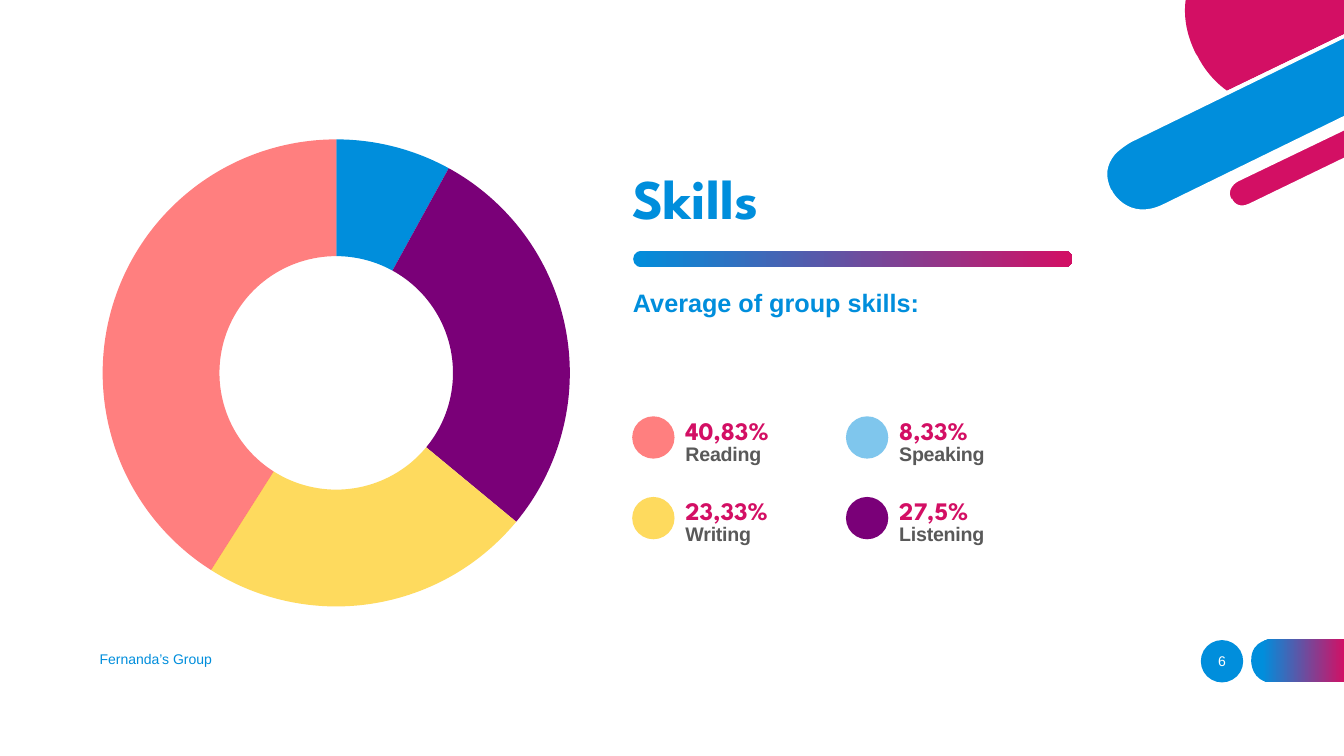
"""Build the group skills slide with a doughnut chart and its legend."""
from dataclasses import dataclass
from typing import Any

from lxml.etree import SubElement
from pptx import Presentation
from pptx.chart.data import CategoryChartData
from pptx.dml.color import RGBColor
from pptx.dml.fill import FillFormat
from pptx.enum.chart import XL_CHART_TYPE as ChartType
from pptx.enum.shapes import MSO_SHAPE as Shape
from pptx.enum.text import MSO_ANCHOR as Anchor, PP_ALIGN as Align
from pptx.oxml import parse_xml
from pptx.oxml.ns import nsdecls, qn
from pptx.util import Inches, Pt

BLUE = RGBColor(0x00, 0x8E, 0xDC)
PINK = RGBColor(0xD3, 0x0F, 0x64)
PURPLE = RGBColor(0x7A, 0x00, 0x78)
YELLOW = RGBColor(0xFE, 0xDA, 0x5E)
RED = RGBColor(0xFF, 0x00, 0x00)
GREY = RGBColor(0x59, 0x59, 0x59)
BLACK = RGBColor(0x00, 0x00, 0x00)
WHITE = RGBColor(0xFF, 0xFF, 0xFF)

HEADING = {"name": "League Spartan", "bold": True}
LABEL = {"name": "Arial", "bold": True}
SMALL = {"name": "Arial", "size": Pt(10)}
DOT = 0.42


@dataclass
class Outline:
    """Closed outline: two numbers make a line, six make a Bézier curve."""
    color: RGBColor
    start: tuple[float, float]
    segments: list[tuple[float, ...]]


@dataclass
class Skill:
    """Legend entry in a cell of the two-by-two grid."""
    name: str
    share: str
    color: RGBColor
    col: int
    row: int
    alpha: int = 100


@dataclass
class Slice:
    """Doughnut slice."""
    value: int
    color: RGBColor
    alpha: int = 100


BADGE = Outline(BLUE, (12.62, 6.77), [
    (13.34, 6.77), (13.34, 6.34), (12.62, 6.34),
    (12.62, 6.34, 12.41, 6.34, 12.41, 6.55), (12.41, 6.56),
    (12.41, 6.56, 12.41, 6.77, 12.62, 6.77)])

CORNER = [
    Outline(WHITE, (13.33, 0.81), [
        (13.06, 0.94), (12.74, 1.1, 12.44, 1.08, 12.19, 0.89),
        (11.99, 0.74, 11.89, 0.55, 11.89, 0.55), (11.88, 0.52),
        (11.79, 0.34, 11.75, 0.16, 11.78, 0), (11.74, 0),
        (11.71, 0.17, 11.75, 0.35, 11.84, 0.54), (11.86, 0.57),
        (11.86, 0.58, 11.96, 0.77, 12.16, 0.92),
        (12.28, 1.01, 12.44, 1.09, 12.65, 1.09),
        (12.77, 1.09, 12.91, 1.06, 13.08, 0.98), (13.33, 0.86)]),
    Outline(BLUE, (11.21, 1.39), [
        (11.21, 1.39, 10.85, 1.57, 11.01, 1.89), (11.01, 1.9),
        (11.01, 1.9, 11.17, 2.22, 11.54, 2.04), (13.33, 1.17), (13.33, 0.36)]),
    Outline(PINK, (11.88, 0.56), [
        (11.88, 0.56, 11.97, 0.76, 12.17, 0.9), (13.33, 0.34), (13.34, 0),
        (11.76, 0), (11.74, 0.15, 11.76, 0.33, 11.86, 0.53)]),
    Outline(PINK, (13.34, 1.26), [
        (12.27, 1.78), (12.27, 1.78, 12.13, 1.85, 12.2, 1.97), (12.2, 1.98),
        (12.2, 1.98, 12.26, 2.11, 12.4, 2.04), (13.34, 1.58)]),
    Outline(WHITE, (12.39, 2.02), [
        (12.27, 2.08, 12.22, 1.98, 12.22, 1.97), (12.21, 1.97),
        (12.16, 1.86, 12.28, 1.8, 12.28, 1.8), (13.34, 1.29), (13.34, 1.24),
        (12.26, 1.76), (12.26, 1.76, 12.19, 1.8, 12.17, 1.87),
        (12.15, 1.91, 12.16, 1.95, 12.18, 1.99),
        (12.2, 2.03, 12.25, 2.08, 12.32, 2.08),
        (12.35, 2.08, 12.38, 2.08, 12.41, 2.06), (13.34, 1.61), (13.34, 1.56)]),
    Outline(WHITE, (11.53, 2.03), [
        (11.19, 2.19, 11.03, 1.9, 11.03, 1.89), (11.02, 1.88),
        (10.96, 1.75, 10.97, 1.64, 11.06, 1.53),
        (11.13, 1.46, 11.22, 1.41, 11.22, 1.41), (13.33, 0.38), (13.33, 0.34),
        (11.2, 1.37), (11.19, 1.38, 11.02, 1.46, 10.96, 1.63),
        (10.93, 1.71, 10.94, 1.8, 10.99, 1.9), (10.99, 1.91),
        (10.99, 1.91, 11.1, 2.12, 11.33, 2.12),
        (11.39, 2.12, 11.46, 2.1, 11.54, 2.06), (13.33, 1.19), (13.33, 1.15)]),
]

SKILLS = [
    Skill("Reading", "40,83%", RED, 0, 0, 50),
    Skill("Speaking", "8,33%", BLUE, 1, 0, 50),
    Skill("Writing", "23,33%", YELLOW, 0, 1),
    Skill("Listening", "27,5%", PURPLE, 1, 1),
]
SLICES = [Slice(8, BLUE), Slice(28, PURPLE), Slice(23, YELLOW), Slice(41, RED, 50)]


def set_fill(fill: FillFormat, color: RGBColor, alpha: int = 100) -> None:
    fill.solid()
    fill.fore_color.rgb = color
    if alpha < 100:
        clr = fill._xPr.find(".//" + qn("a:srgbClr"))
        SubElement(clr, qn("a:alpha"), val=str(alpha * 1000))


def set_gradient(fill: FillFormat, start: float = 0) -> None:
    fill.gradient()
    fill.gradient_angle = 0
    for stop, color, position in zip(fill.gradient_stops, (BLUE, PINK), (start, 1)):
        stop.color.rgb = color
        stop.position = position


def set_font(font: Any, color: RGBColor, fmt: dict[str, Any]) -> None:
    for key, value in fmt.items():
        setattr(font, key, value)
    font.color.rgb = color


def finish(sp: Any, color: RGBColor, alpha: int = 100) -> Any:
    sp.shadow.inherit = False
    sp.line.fill.background()
    set_fill(sp.fill, color, alpha)
    return sp


def add_outline(s: Any, outline: Outline) -> Any:
    builder = s.shapes.build_freeform(*map(Inches, outline.start))
    builder.add_line_segments([(Inches(seg[i]), Inches(seg[i + 1]))
                               for seg in outline.segments
                               for i in range(0, len(seg), 2)])
    sp = builder.convert_to_shape()
    lines = iter(list(sp._element.iter(qn("a:lnTo"))))
    for seg in outline.segments:
        step = next(lines)
        if len(seg) == 6:
            step.tag = qn("a:cubicBezTo")
            for extra in (next(lines), next(lines)):
                step.append(extra[0])
                extra.getparent().remove(extra)
    return finish(sp, outline.color)


def add_preset(s: Any, kind: Shape, at: tuple[float, ...], color: RGBColor,
               alpha: int = 100) -> Any:
    return finish(s.shapes.add_shape(kind, *map(Inches, at)), color, alpha)


def add_text(s: Any, text: str, at: tuple[float, ...], color: RGBColor,
             fmt: dict[str, Any], anchor: Anchor = Anchor.TOP,
             align: Align = Align.LEFT, spacing: float = 0.9) -> Any:
    tf = s.shapes.add_textbox(*map(Inches, at)).text_frame
    tf.word_wrap, tf.vertical_anchor = True, anchor
    p = tf.paragraphs[0]
    p.alignment, p.line_spacing = align, spacing
    r = p.add_run()
    r.text = text
    set_font(r.font, color, fmt)
    return r


def add_doughnut(s: Any) -> None:
    data = CategoryChartData()
    data.categories = [str(i + 1) for i in range(len(SLICES))]
    data.add_series("Series 1", [sl.value for sl in SLICES])
    at = map(Inches, (0.87, 1.19, 4.93, 5.02))
    chart = s.shapes.add_chart(ChartType.DOUGHNUT, *at, data).chart
    chart.has_legend = chart.has_title = False
    set_font(chart.font, BLACK, SMALL)
    plot = chart.plots[0]
    plot.vary_by_categories = True
    plot._element.find(qn("c:holeSize")).set("val", "52")
    for i, sl in enumerate(SLICES):
        fmt = plot.series[0].points[i].format
        set_fill(fmt.fill, sl.color, sl.alpha)
        fmt.line.fill.background()
    area = chart._chartSpace.chart.plotArea
    for old in area.findall(qn("c:layout")):
        area.remove(old)
    box = {"x": 0.03, "y": 0.03, "w": 0.94, "h": 0.94}
    sizes = "".join(f'<c:{k} val="{v}"/>' for k, v in box.items())
    area.insert(0, parse_xml(
        f'<c:layout {nsdecls("c")}><c:manualLayout><c:layoutTarget val="inner"/>'
        f'<c:xMode val="edge"/><c:yMode val="edge"/>{sizes}</c:manualLayout></c:layout>'))


def add_skill(s: Any, skill: Skill) -> None:
    x, y = 6.27 + 2.12 * skill.col, 4.13 + 0.8 * skill.row
    add_preset(s, Shape.OVAL, (x, y, DOT, DOT), skill.color, skill.alpha)
    add_text(s, skill.share, (x + 0.43, y - 0.06, 1.75, 0.4), PINK,
             HEADING | {"size": Pt(18)}, Anchor.BOTTOM)
    r = add_text(s, skill.name, (x + 0.43, y + 0.23, 1.75, 0.4), GREY,
                 LABEL | {"size": Pt(14)})
    r._r.get_or_add_rPr().set("spc", "-20")


def main() -> None:
    prs = Presentation()
    prs.slide_width, prs.slide_height = Inches(13.33), Inches(7.5)
    s = prs.slides.add_slide(prs.slide_layouts[6])
    add_preset(s, Shape.OVAL, (11.91, 6.35, DOT, DOT), BLUE)
    set_gradient(add_outline(s, BADGE).fill, 0.12)
    for outline in CORNER:
        add_outline(s, outline)
    bar = add_preset(s, Shape.ROUNDED_RECTANGLE, (6.28, 2.49, 4.36, 0.16), BLUE)
    bar.adjustments[0] = 0.5
    set_gradient(bar.fill)
    add_doughnut(s)
    add_text(s, "Skills", (6.17, 1.61, 4.81, 0.74), BLUE,
             HEADING | {"size": Pt(40)}, Anchor.BOTTOM)
    add_text(s, "Average of group skills:", (6.18, 2.83, 6.16, 0.91), BLUE,
             LABEL | {"size": Pt(18)})
    for skill in SKILLS:
        add_skill(s, skill)
    add_text(s, "Fernanda’s Group", (0.89, 6.34, 4.5, 0.4), BLUE, SMALL,
             Anchor.MIDDLE, spacing=1.0)
    add_text(s, "6", (11.82, 6.36, 0.6, 0.4), WHITE, SMALL,
             Anchor.MIDDLE, Align.CENTER, 1.0)
    prs.save("out.pptx")


if __name__ == "__main__":
    main()
